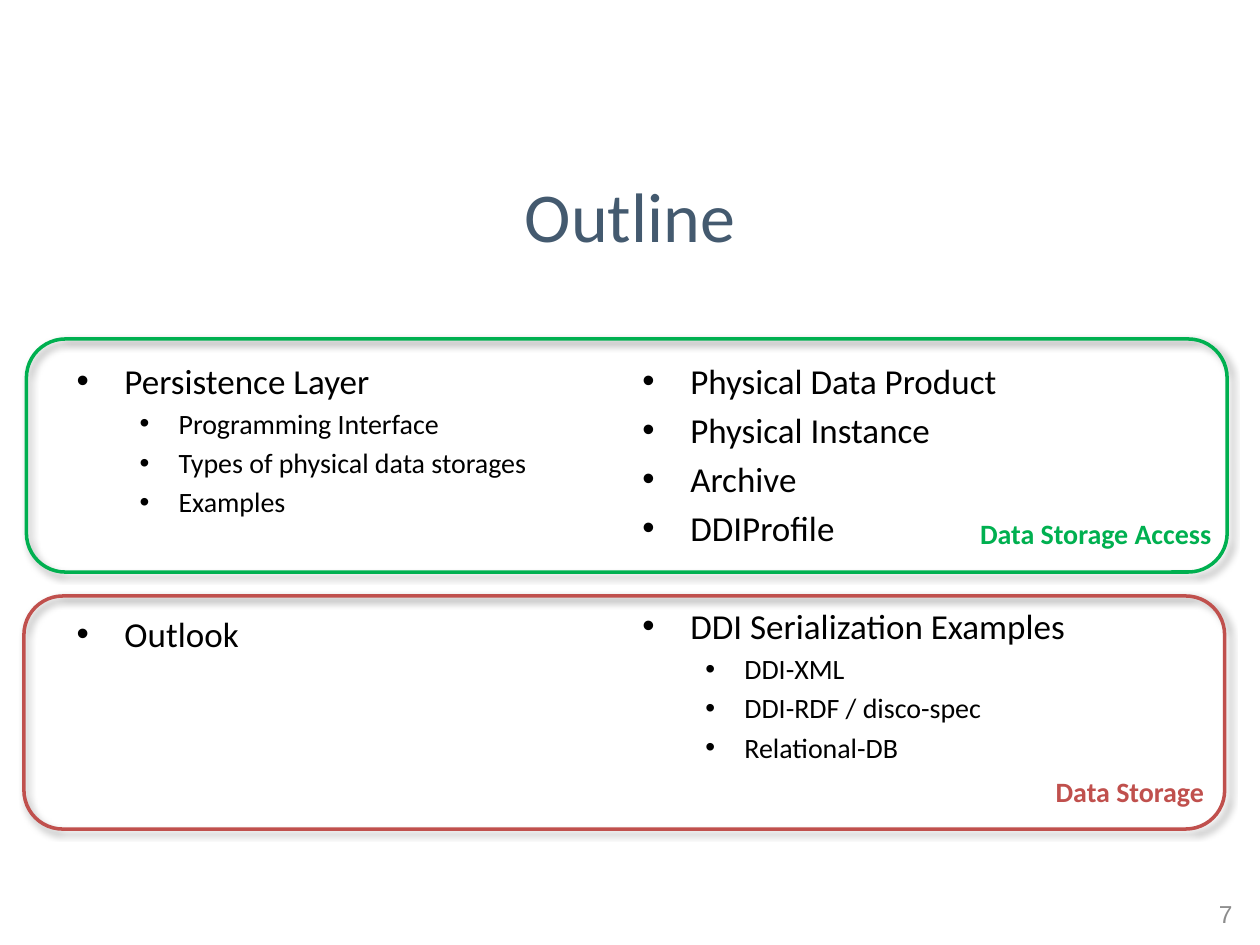
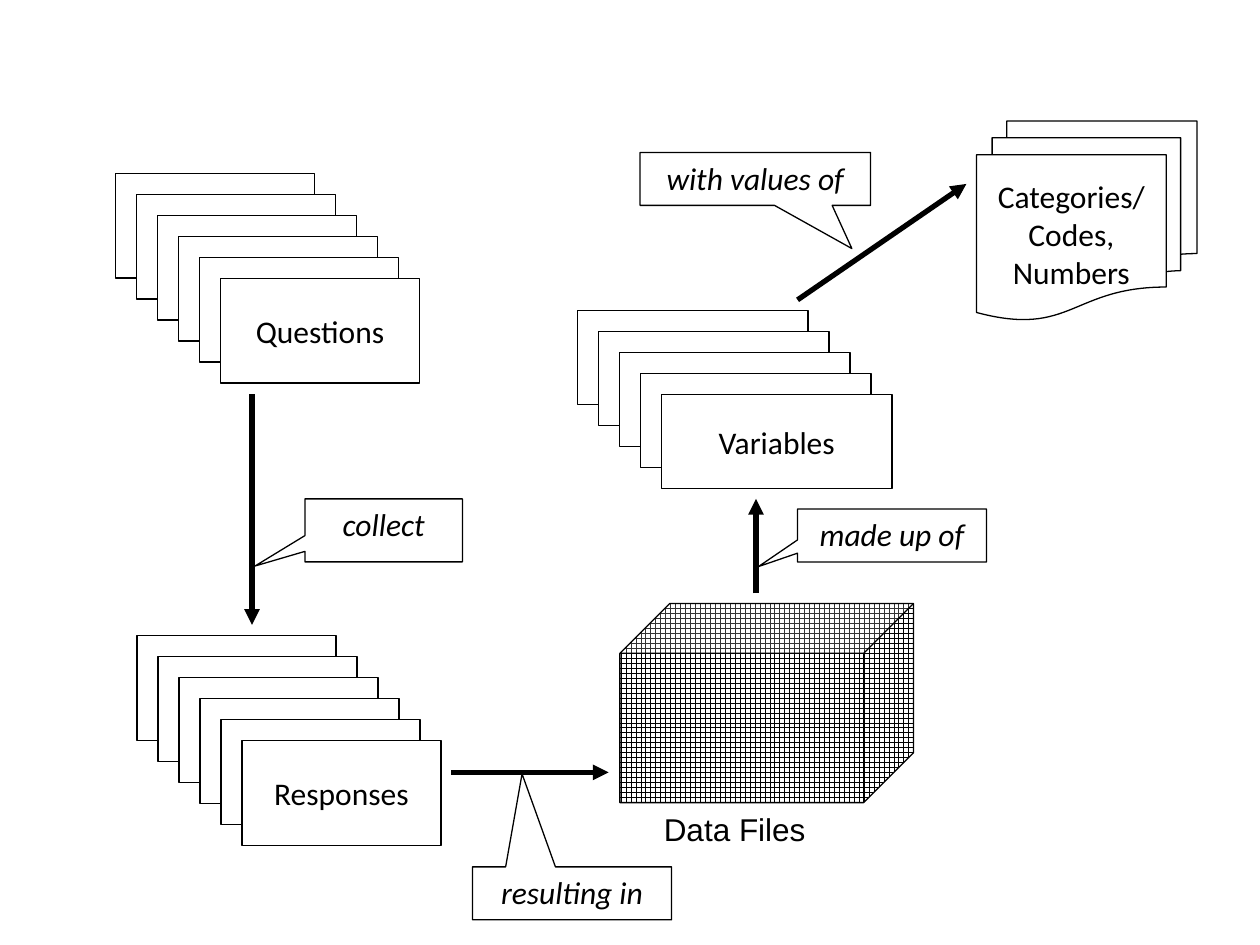
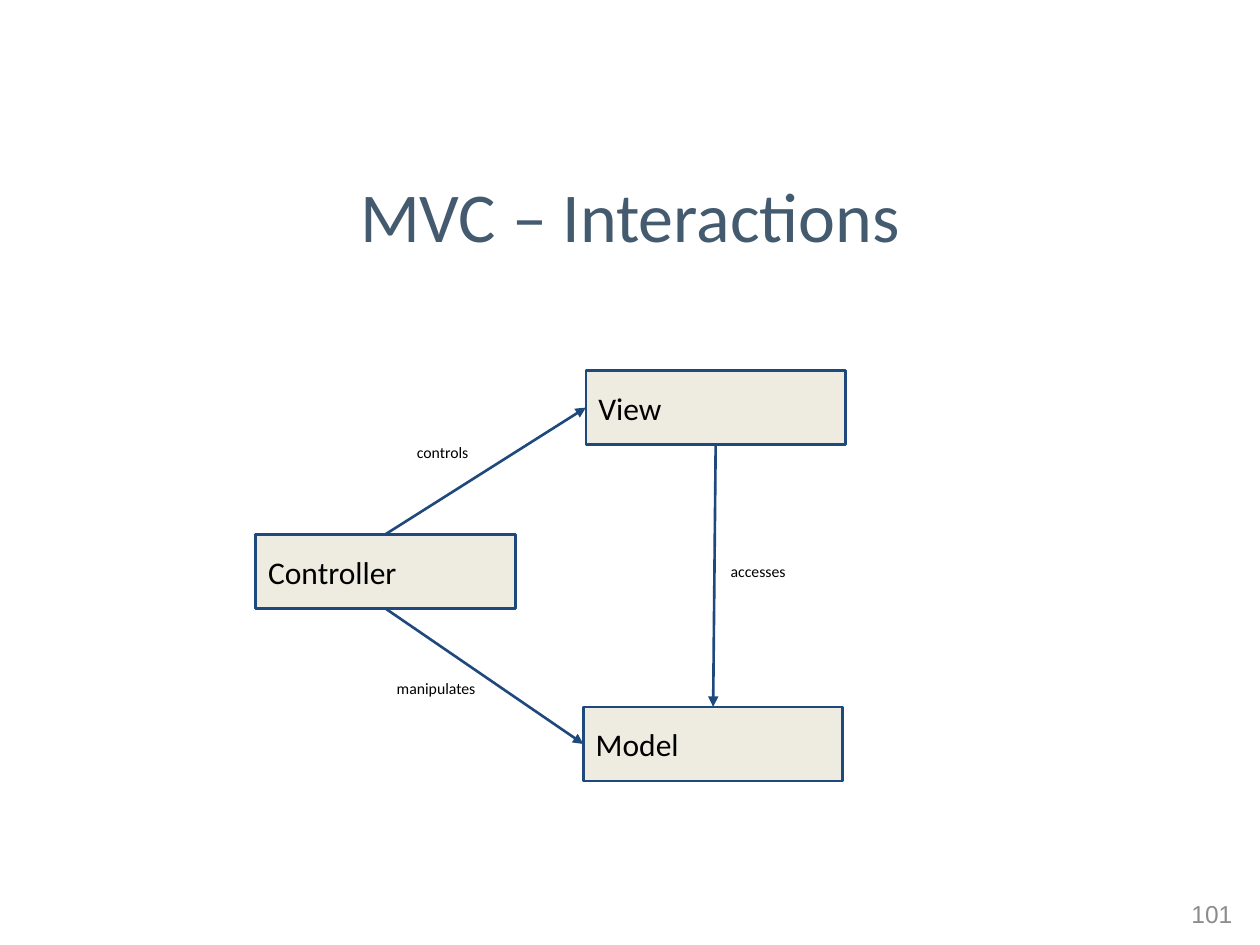
"""Build three slides: an outline, a survey data flow and the MVC interactions."""
from dataclasses import dataclass

from lxml import etree
from pptx import Presentation, util as u
from pptx.dml.color import RGBColor
from pptx.enum import dml, shapes, text
from pptx.oxml.ns import qn

BLACK = RGBColor(0x00, 0x00, 0x00)
WHITE = RGBColor(0xFF, 0xFF, 0xFF)
SLATE = RGBColor(0x44, 0x5A, 0x6F)
GREY = RGBColor(0x8C, 0x8C, 0x8C)
GREEN = RGBColor(0x00, 0xB0, 0x50)
RED = RGBColor(0xC0, 0x50, 0x4D)
NAVY = RGBColor(0x1F, 0x49, 0x7D)
CREAM = RGBColor(0xEE, 0xEC, 0xE1)

SHAPE = shapes.MSO_SHAPE
ALIGN = text.PP_ALIGN
ANCHOR = text.MSO_ANCHOR
STACK_STEP = 1 / 6
BULLET_SIZES = (20, 16)
BULLET_INDENTS = ((0.38, -0.38), (0.81, -0.31))


@dataclass(frozen=True)
class Box:
    """Position and size in inches."""
    left: float
    top: float
    width: float
    height: float

    def lengths(self) -> tuple:
        """Return the four values as lengths."""
        return tuple(u.Inches(v) for v in (self.left, self.top, self.width, self.height))


@dataclass(frozen=True)
class Style:
    """Look of a whole paragraph."""
    size: float = 18
    color: RGBColor = BLACK
    name: str = "Calibri"
    bold: bool = False
    italic: bool = False
    align: ALIGN = ALIGN.LEFT


@dataclass(frozen=True)
class Bullet:
    """One bulleted line, with its level and any extra space above it in points."""
    label: str
    level: int = 0
    gap: float = 0


@dataclass(frozen=True)
class Panel:
    """A rounded outline with a caption in the same colour."""
    box: Box
    caption: str
    caption_box: Box
    color: RGBColor


@dataclass(frozen=True)
class Stack:
    """A pile of cards described by its labelled front card."""
    label: str
    front: Box
    count: int


@dataclass(frozen=True)
class Callout:
    """A speech box whose tip is relative to its centre."""
    label: str
    box: Box
    tip: tuple[float, float]


@dataclass(frozen=True)
class Arrow:
    """A straight arrow between two points in inches."""
    start: tuple[float, float]
    end: tuple[float, float]


TITLE_BOX = Box(0.5, 1.08, 9, 1.25)
TITLE = Style(40, SLATE, align=ALIGN.CENTER)
NUMBER_BOX = Box(7.55, 7.05, 2.33, 0.4)
NUMBER = Style(14, GREY, "Arial", align=ALIGN.RIGHT)
CARD = Style(align=ALIGN.CENTER)
SPOKEN = Style(italic=True, align=ALIGN.CENTER)

OUTLINE = (
    (Box(0.51, 2.8, 4.17, 1.62), (
        Bullet("Persistence Layer"),
        Bullet("Programming Interface", 1),
        Bullet("Types of physical data storages", 1),
        Bullet("Examples", 1))),
    (Box(5, 2.8, 4.69, 4.18), (
        Bullet("Physical Data Product"),
        Bullet("Physical Instance"),
        Bullet("Archive"),
        Bullet("DDIProfile"),
        Bullet("DDI Serialization Examples", gap=28),
        Bullet("DDI-XML", 1),
        Bullet("DDI-RDF / disco-spec", 1),
        Bullet("Relational-DB", 1))),
    (Box(0.51, 4.81, 4.17, 1.59), (Bullet("Outlook"),)),
)
PANELS = (
    Panel(Box(0.21, 2.69, 9.53, 1.85), "Data Storage Access",
          Box(7.68, 4.05, 2.06, 0.37), GREEN),
    Panel(Box(0.19, 4.73, 9.53, 1.85), "Data Storage",
          Box(8.28, 6.1, 1.39, 0.37), RED),
)
STACKS = (
    Stack("Questions", Box(1.75, 2.21, 1.58, 0.83), 6),
    Stack("Responses", Box(1.92, 5.88, 1.58, 0.83), 6),
    Stack("Variables", Box(5.25, 3.13, 1.83, 0.75), 5),
)
FLOWS = (
    Arrow((2, 3.13), (2, 4.96)),
    Arrow((3.58, 6.13), (4.83, 6.13)),
    Arrow((6, 4.71), (6, 3.96)),
    Arrow((6.33, 2.38), (7.67, 1.46)),
)
CALLOUTS = (
    Callout("collect", Box(2.42, 3.96, 1.25, 0.5), (-0.817, 0.566)),
    Callout("resulting in", Box(3.75, 6.88, 1.58, 0.42), (-0.251, -2.258)),
    Callout("made up of", Box(6.33, 4.04, 1.5, 0.42), (-0.707, 0.588)),
    Callout("with values of", Box(5.08, 1.21, 1.83, 0.42), (0.419, 1.317)),
)
MVC_PARTS = {
    "Model": Box(4.63, 5.61, 2.06, 0.59),
    "View": Box(4.65, 2.94, 2.06, 0.59),
    "Controller": Box(2.03, 4.24, 2.06, 0.59),
}
TOP, LEFT, BOTTOM = 0, 1, 2
MVC_LINKS = (
    ("Controller", TOP, "View", LEFT),
    ("Controller", BOTTOM, "Model", LEFT),
    ("View", BOTTOM, "Model", TOP),
)
MVC_LABELS = {
    "manipulates": Box(3.05, 5.31, 0.92, 0.33),
    "accesses": Box(5.7, 4.38, 0.92, 0.33),
    "controls": Box(3.21, 3.44, 0.92, 0.33),
}


def style_paragraph(p, style: Style) -> None:
    """Apply a style to a paragraph."""
    p.alignment = style.align
    p.font.size = u.Pt(style.size)
    p.font.name = style.name
    p.font.bold = style.bold
    p.font.italic = style.italic
    p.font.color.rgb = style.color


def write(sp, lines: str, style: Style, anchor=ANCHOR.TOP, wrap: bool = True,
          inset: float | None = None):
    """Fill a shape with one paragraph per line."""
    tf = sp.text_frame
    tf.text = lines
    tf.word_wrap = wrap
    tf.vertical_anchor = anchor
    if inset is not None:
        tf.margin_left = tf.margin_right = u.Inches(inset)
        tf.margin_top = tf.margin_bottom = u.Inches(inset)
    for p in tf.paragraphs:
        style_paragraph(p, style)
    return sp


def add_text(slide, box: Box, lines: str, style: Style, **layout):
    """Add a text box."""
    return write(slide.shapes.add_textbox(*box.lengths()), lines, style, **layout)


def add_shape(slide, kind, box: Box, fill: RGBColor | None = WHITE,
              line: RGBColor = BLACK, width: float = 0.75):
    """Add a flat preset shape."""
    sp = slide.shapes.add_shape(kind, *box.lengths())
    sp.shadow.inherit = False
    if fill is None:
        sp.fill.background()
    else:
        sp.fill.solid()
        sp.fill.fore_color.rgb = fill
    sp.line.color.rgb = line
    sp.line.width = u.Pt(width)
    return sp


def add_arrow(slide, arrow: Arrow, color: RGBColor, width: float):
    """Add a connector with a triangle at its end."""
    points = [u.Inches(v) for v in (*arrow.start, *arrow.end)]
    c = slide.shapes.add_connector(shapes.MSO_CONNECTOR.STRAIGHT, *points)
    c.line.color.rgb = color
    c.line.width = u.Pt(width)
    props = c._element.spPr
    etree.SubElement(props.find(qn("a:ln")), qn("a:tailEnd"), type="triangle")
    etree.SubElement(props, qn("a:effectLst"))
    return c


def add_bullets(slide, box: Box, bullets: tuple[Bullet, ...]) -> None:
    """Add a bulleted text box."""
    tf = slide.shapes.add_textbox(*box.lengths()).text_frame
    tf.word_wrap = True
    for i, bullet in enumerate(bullets):
        p = tf.add_paragraph() if i else tf.paragraphs[0]
        p.text = bullet.label
        p.level = bullet.level
        size = BULLET_SIZES[bullet.level]
        if i:
            p.space_before = u.Pt(size * 0.2 + bullet.gap)
        margin, indent = BULLET_INDENTS[bullet.level]
        props = p._p.get_or_add_pPr()
        props.set("marL", str(u.Inches(margin)))
        props.set("indent", str(u.Inches(indent)))
        etree.SubElement(props, qn("a:buFont"), typeface="Arial")
        etree.SubElement(props, qn("a:buChar"), char="•")
        style_paragraph(p, Style(size))


def add_shadow(sp) -> None:
    """Give a shape a soft shadow towards the lower right."""
    effects = sp._element.spPr.find(qn("a:effectLst"))
    shadow = etree.SubElement(effects, qn("a:outerShdw"), blurRad=str(u.Pt(4)),
                              dist=str(u.Pt(3)), dir=str(45 * 60000),
                              algn="tl", rotWithShape="0")
    color = etree.SubElement(shadow, qn("a:srgbClr"), val=str(BLACK))
    etree.SubElement(color, qn("a:alpha"), val="40000")


def add_panel(slide, panel: Panel) -> None:
    """Add a rounded outline and its caption."""
    sp = add_shape(slide, SHAPE.ROUNDED_RECTANGLE, panel.box, None, panel.color, 2)
    add_shadow(sp)
    add_text(slide, panel.caption_box, panel.caption,
             Style(16, panel.color, bold=True), wrap=False)


def add_stack(slide, stack: Stack) -> None:
    """Add a pile of cards from back to front and label the front one."""
    front = stack.front
    for depth in reversed(range(stack.count)):
        shift = depth * STACK_STEP
        sp = add_shape(slide, SHAPE.RECTANGLE, Box(
            front.left - shift, front.top - shift, front.width, front.height))
    write(sp, stack.label, CARD, ANCHOR.MIDDLE, wrap=False)


def add_callout(slide, callout: Callout) -> None:
    """Add a speech box."""
    sp = add_shape(slide, SHAPE.RECTANGULAR_CALLOUT, callout.box)
    sp.adjustments[0], sp.adjustments[1] = callout.tip
    write(sp, callout.label, SPOKEN)


def new_slide(prs):
    """Add a blank slide."""
    return prs.slides.add_slide(prs.slide_layouts[6])


def new_titled_slide(prs, title: str, number: int):
    """Add a slide with a title and a page number."""
    slide = new_slide(prs)
    add_text(slide, TITLE_BOX, title, TITLE, anchor=ANCHOR.MIDDLE)
    add_text(slide, NUMBER_BOX, str(number), NUMBER, anchor=ANCHOR.MIDDLE)
    return slide


def build_outline(prs) -> None:
    """Build the outline slide."""
    slide = new_titled_slide(prs, "Outline", 7)
    for box, bullets in OUTLINE:
        add_bullets(slide, box, bullets)
    for panel in PANELS:
        add_panel(slide, panel)


def build_data_flow(prs) -> None:
    """Build the slide that leads from questions to categories."""
    slide = new_slide(prs)
    for stack in STACKS:
        add_stack(slide, stack)
    cube = add_shape(slide, SHAPE.CUBE, Box(4.92, 4.79, 2.33, 1.58))
    cube.fill.patterned()
    cube.fill.pattern = dml.MSO_PATTERN.LARGE_GRID
    cube.fill.fore_color.rgb = BLACK
    cube.fill.back_color.rgb = WHITE
    add_text(slide, Box(5.17, 6.38, 1.67, 0.4), "Data Files", Style(name="Arial"))
    codes = add_shape(slide, SHAPE.FLOWCHART_MULTIDOCUMENT, Box(7.75, 0.96, 1.75, 1.58))
    write(codes, "Categories/\nCodes,\nNumbers", CARD, ANCHOR.MIDDLE, wrap=False)
    for flow in FLOWS:
        add_arrow(slide, flow, BLACK, 3)
    for callout in CALLOUTS:
        add_callout(slide, callout)


def build_mvc(prs) -> None:
    """Build the slide on model, view and controller."""
    slide = new_titled_slide(prs, "MVC – Interactions", 101)
    parts = {}
    for name, box in MVC_PARTS.items():
        sp = add_shape(slide, SHAPE.RECTANGLE, box, CREAM, NAVY, 1.5)
        parts[name] = write(sp, name, Style(), ANCHOR.MIDDLE, inset=0.1)
    for source, source_side, target, target_side in MVC_LINKS:
        c = add_arrow(slide, Arrow((0, 0), (1, 1)), NAVY, 1.5)
        c.begin_connect(parts[source], source_side)
        c.end_connect(parts[target], target_side)
    for label, box in MVC_LABELS.items():
        add_text(slide, box, label, Style(9), inset=0.1)


def main() -> None:
    """Build and save the presentation."""
    prs = Presentation()
    prs.slide_width, prs.slide_height = u.Inches(10), u.Inches(7.5)
    build_outline(prs)
    build_data_flow(prs)
    build_mvc(prs)
    prs.save("out.pptx")


if __name__ == "__main__":
    main()
